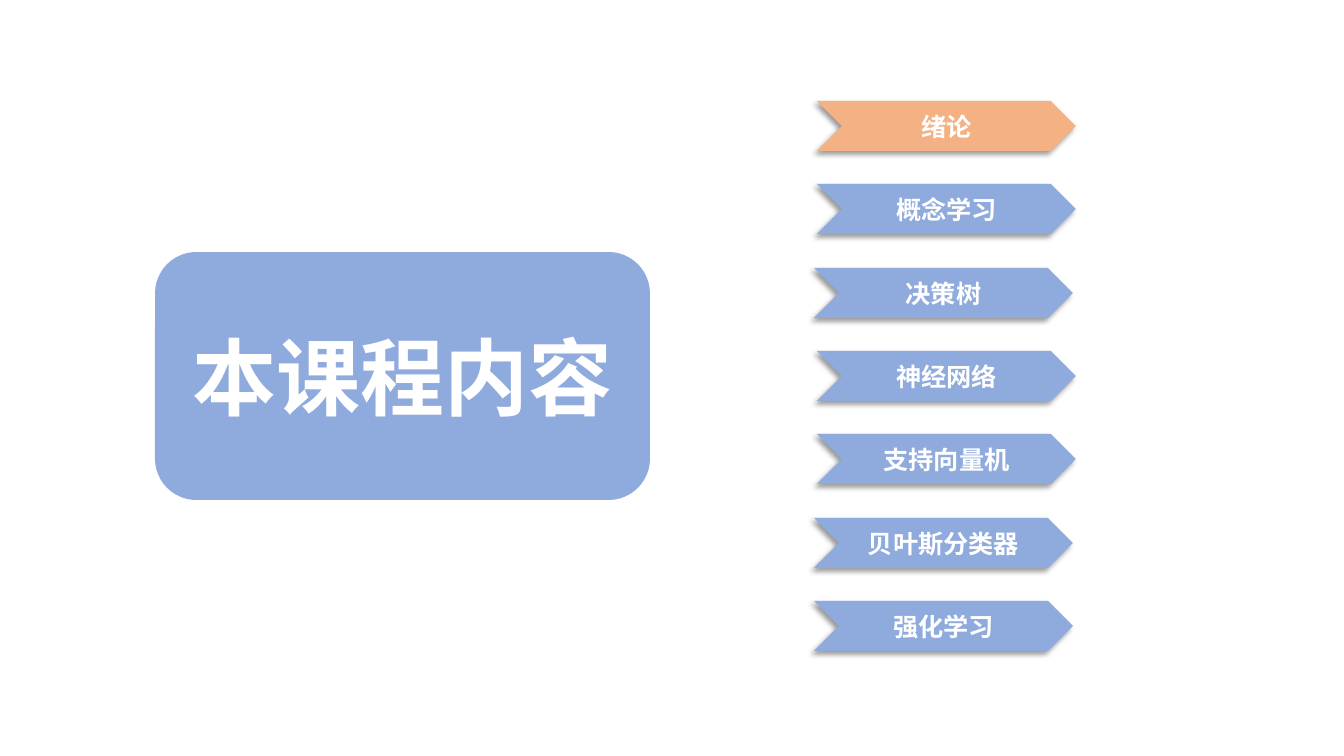
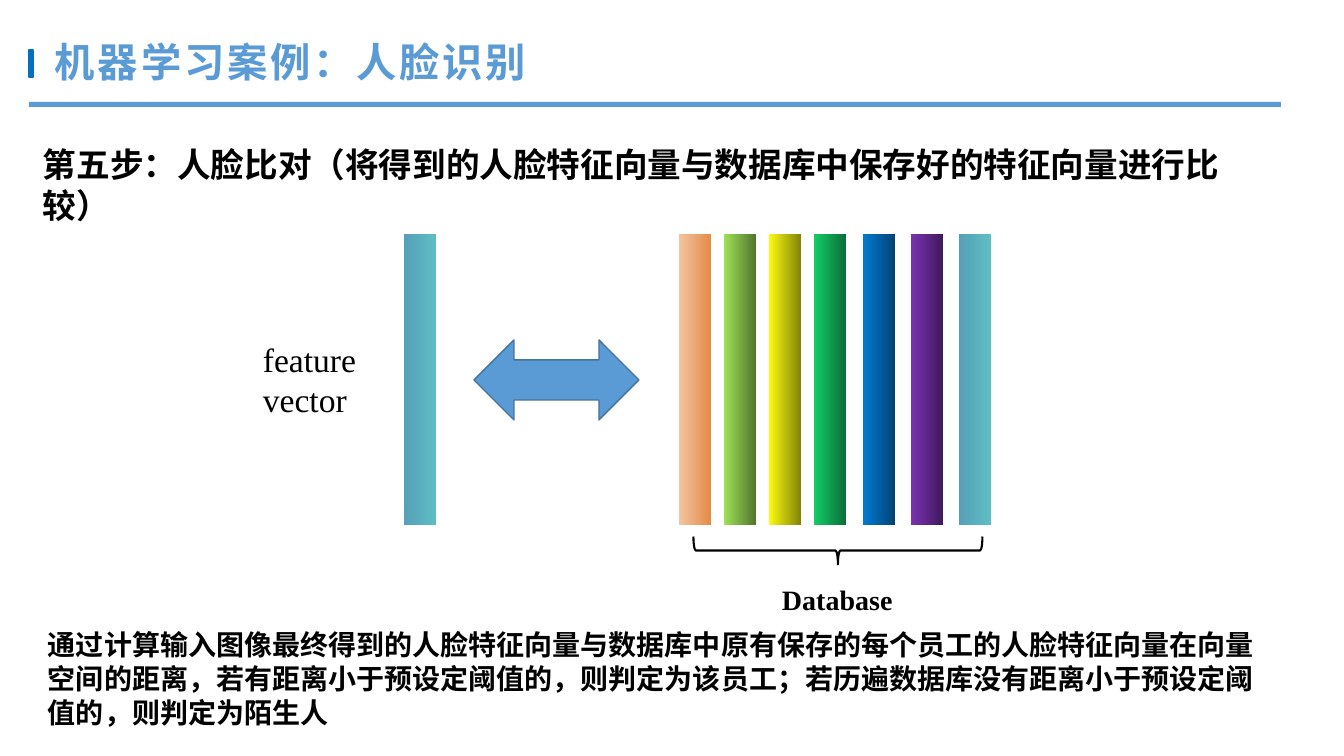
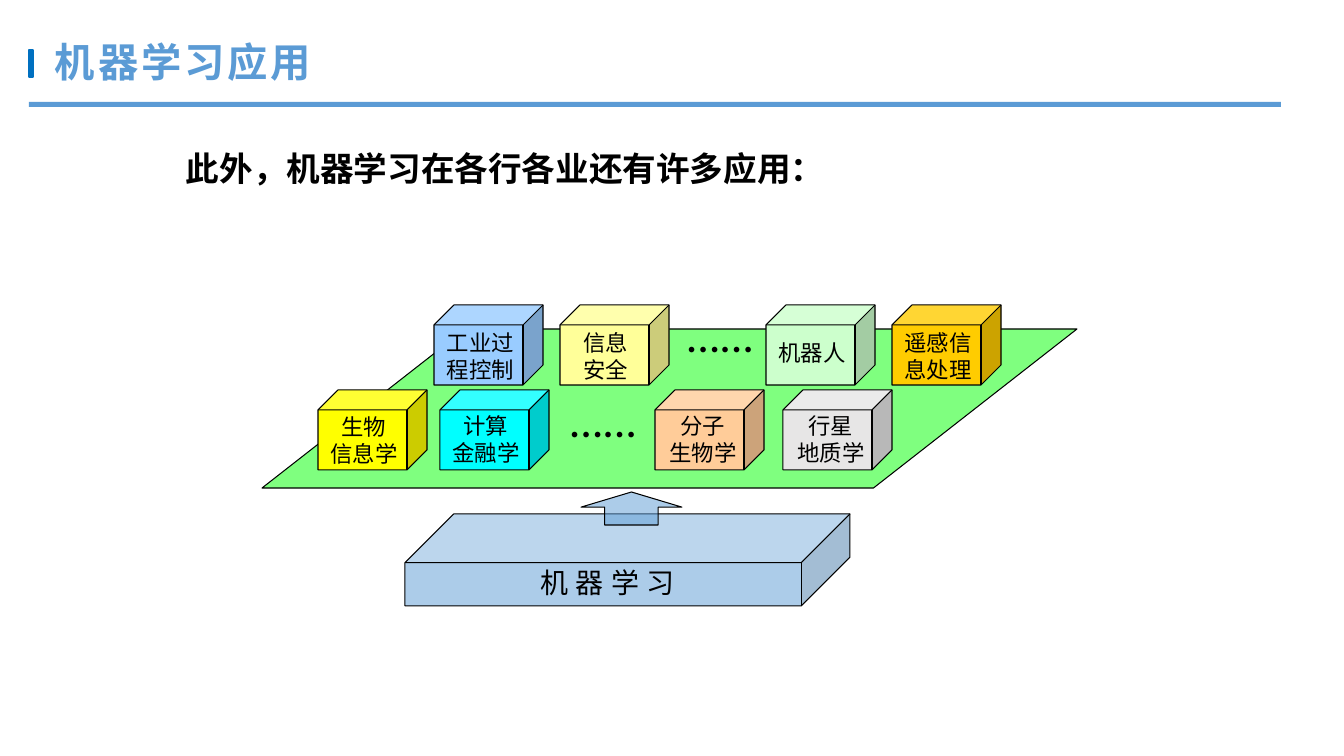
from lxml import etree
from pptx import Presentation
from pptx import util as u
from pptx.dml.color import RGBColor
from pptx.enum import lang, shapes, text
from pptx.oxml.ns import qn

EMU_PER_PX = 914400 / 100.8

WHITE = RGBColor(0xFF, 0xFF, 0xFF)
BLACK = RGBColor(0, 0, 0)
PERIWINKLE = RGBColor(0x8F, 0xAA, 0xDC)
ORANGE = RGBColor(0xF4, 0xB1, 0x83)
SKY = RGBColor(0x5B, 0x9B, 0xD5)
SKY_EDGE = RGBColor(0x43, 0x73, 0x9E)
MARKER = RGBColor(0x00, 0x70, 0xC0)
GREEN = RGBColor(0x00, 0xFF, 0x00)
QUERY_SHADES = (RGBColor(0x56, 0xA0, 0xB9), RGBColor(0x5D, 0xBD, 0xC3))
STORED_VECTORS = (
    (679, (RGBColor(0xF2, 0xC5, 0xA2), RGBColor(0xE4, 0x8B, 0x45))),
    (724, (RGBColor(0x9E, 0xE2, 0x56), RGBColor(0x52, 0x76, 0x2D))),
    (769, (RGBColor(0xFB, 0xFB, 0x11), RGBColor(0x83, 0x83, 0x09))),
    (814, (RGBColor(0x14, 0xCD, 0x68), RGBColor(0x0B, 0x6E, 0x38))),
    (863, (RGBColor(0x00, 0x7B, 0xD3), RGBColor(0x03, 0x43, 0x73))),
    (911, (RGBColor(0x7B, 0x32, 0xB2), RGBColor(0x40, 0x1A, 0x5D))),
    (959, QUERY_SHADES),
)

SANS = "Noto Sans CJK SC"
SERIF = "Times New Roman"
HEADING = "Calibri"
LABEL = "Lato"

CHAPTERS = (
    ("绪论", 817), ("概念学习", 817), ("决策树", 814), ("神经网络", 817),
    ("支持向量机", 817), ("贝叶斯分类器", 814), ("强化学习", 814),
)

FRONT_ROW = 390
BACK_ROW = 305
FIELDS = (
    (318, FRONT_ROW, RGBColor(0xFF, 0xFF, 0x00), ("生物", "信息学"), (305, 408, 118, 64)),
    (440, FRONT_ROW, RGBColor(0x00, 0xFF, 0xFF), ("计算", "金融学"), (427, 407, 118, 64)),
    (655, FRONT_ROW, RGBColor(0xFF, 0xCC, 0x99), ("分子", "生物学"), (644, 407, 118, 64)),
    (783, FRONT_ROW, RGBColor(0xE7, 0xE6, 0xE6), ("行星", "地质学"), (772, 407, 118, 64)),
    (434, BACK_ROW, RGBColor(0x99, 0xCC, 0xFF), ("工业过程控制",), (430, 324, 101, 64)),
    (560, BACK_ROW, RGBColor(0xFF, 0xFF, 0x99), ("信息安全",), (565, 324, 82, 64)),
    (766, BACK_ROW, RGBColor(0xCC, 0xFF, 0xCC), ("机器人",), (753, 334, 118, 37)),
    (892, BACK_ROW, RGBColor(0xFF, 0xCC, 0x00), ("遥感信", "息处理"), (879, 324, 118, 64)),
)


def px(length):
    return u.Emu(round(length * EMU_PER_PX))


def write(frame, lines, size, font, color=BLACK, bold=False, centered=False,
          spacing=None, tracking=None):
    frame.word_wrap = True
    for index, line in enumerate(lines):
        paragraph = frame.paragraphs[0] if index == 0 else frame.add_paragraph()
        paragraph.alignment = text.PP_ALIGN.CENTER if centered else text.PP_ALIGN.LEFT
        if spacing:
            paragraph.line_spacing = spacing
        run = paragraph.add_run()
        run.text = line
        run.font.size = u.Pt(size)
        run.font.bold = bold
        run.font.name = font
        run.font.color.rgb = color
        run.font.language_id = lang.MSO_LANGUAGE_ID.SIMPLIFIED_CHINESE
        properties = run.font._element
        etree.SubElement(properties, qn("a:ea")).set("typeface", font)
        if tracking:
            properties.set("spc", str(tracking * 100))


def add_text(slide, box, lines, size, font, **style):
    area = slide.shapes.add_textbox(*map(px, box))
    write(area.text_frame, lines, size, font, **style)
    return area


def add_preset(slide, preset, box, fill=None, line=None, width=0.75, adjust=(), alpha=None):
    shape = slide.shapes.add_shape(preset, *map(px, box))
    shape.shadow.inherit = False
    for index, value in enumerate(adjust):
        shape.adjustments[index] = value
    if fill is None:
        shape.fill.background()
    else:
        shape.fill.solid()
        shape.fill.fore_color.rgb = fill
    if alpha is not None:
        tint = shape.element.spPr.find(qn("a:solidFill")).find(qn("a:srgbClr"))
        etree.SubElement(tint, qn("a:alpha")).set("val", str(alpha * 1000))
    if line is None:
        shape.line.fill.background()
    else:
        shape.line.color.rgb = line
        shape.line.width = u.Pt(width)
    return shape


def add_shadow(shape):
    effects = shape.element.spPr.find(qn("a:effectLst"))
    shadow = etree.SubElement(
        effects, qn("a:outerShdw"), blurRad=str(u.Pt(4)), dist=str(u.Pt(3)),
        dir=str(135 * 60000), algn="tr", rotWithShape="0")
    tint = etree.SubElement(shadow, qn("a:srgbClr"), val=str(BLACK))
    etree.SubElement(tint, qn("a:alpha"), val="40000")


def add_chapter(slide, name, left, top, fill):
    chapter = add_preset(slide, shapes.MSO_SHAPE.CHEVRON, (left, top, 259, 50), fill)
    add_shadow(chapter)
    chapter.text_frame.vertical_anchor = text.MSO_ANCHOR.MIDDLE
    write(chapter.text_frame, [name], 18, HEADING, color=WHITE, bold=True, centered=True)


def add_vector(slide, left, shades):
    vector = add_preset(slide, shapes.MSO_SHAPE.RECTANGLE, (left, 234, 32, 291))
    vector.fill.gradient()
    vector.fill.gradient_angle = 0
    for stop, shade in zip(vector.fill.gradient_stops, shades):
        stop.color.rgb = shade


def add_titled_slide(deck, title, width):
    slide = add_slide(deck)
    heading = add_text(slide, (45, 31, width, 66), [title], 28.8, SANS, color=SKY,
                       bold=True, spacing=0.9, tracking=2)
    heading.text_frame.vertical_anchor = text.MSO_ANCHOR.MIDDLE
    add_preset(slide, shapes.MSO_SHAPE.RECTANGLE, (29, 50, 4, 27), MARKER, MARKER, 1)
    add_preset(slide, shapes.MSO_SHAPE.RECTANGLE, (29, 102, 1252, 5), SKY)
    return slide


def add_slide(deck):
    return deck.slides.add_slide(deck.slide_layouts[6])


def build_contents(deck):
    slide = add_slide(deck)
    course = add_preset(slide, shapes.MSO_SHAPE.FLOWCHART_ALTERNATE_PROCESS,
                        (155, 252, 495, 248), PERIWINKLE)
    course.text_frame.vertical_anchor = text.MSO_ANCHOR.MIDDLE
    write(course.text_frame, ["本课程内容"], 60, HEADING, color=WHITE, bold=True, centered=True)
    for index, (name, left) in enumerate(CHAPTERS):
        top = 101 + round(index * 250 / 3)
        add_chapter(slide, name, left, top, PERIWINKLE if index else ORANGE)


def build_face_matching(deck):
    slide = add_titled_slide(deck, "机器学习案例：人脸识别", 509)
    add_text(slide, (33, 138, 1248, 50),
             ["第五步：人脸比对（将得到的人脸特征向量与数据库中保存好的特征向量进行比较）"],
             24, SANS, bold=True, spacing=u.Pt(29.3))
    add_vector(slide, 404, QUERY_SHADES)
    add_text(slide, (253, 334, 123, 92), ["feature", "vector"], 24, SERIF)
    add_text(slide, (38, 622, 1239, 112),
             ["通过计算输入图像最终得到的人脸特征向量与数据库中原有保存的每个员工的人脸特征向量"
              "在向量空间的距离，若有距离小于预设定阈值的，则判定为该员工；若历遍数据库没有距离"
              "小于预设定阈值的，则判定为陌生人"],
             20, SANS, bold=True, spacing=u.Pt(24.4))
    add_preset(slide, shapes.MSO_SHAPE.LEFT_RIGHT_ARROW, (474, 340, 165, 80), SKY, SKY_EDGE, 1)
    for left, shades in STORED_VECTORS:
        add_vector(slide, left, shades)
    brace = add_preset(slide, shapes.MSO_SHAPE.LEFT_BRACE, (824, 406, 28, 289),
                       line=BLACK, width=1.5)
    brace.rotation = 270
    add_text(slide, (772, 578, 133, 44), ["Database"], 20, SERIF, bold=True)


def build_applications(deck):
    slide = add_titled_slide(deck, "机器学习应用", 283)
    add_preset(slide, shapes.MSO_SHAPE.PARALLELOGRAM, (262, 329, 815, 159), GREEN, BLACK,
               adjust=[1.28], alpha=50)
    for left, top, fill, lines, label_box in FIELDS:
        add_preset(slide, shapes.MSO_SHAPE.CUBE, (left, top, 109, 80), fill, BLACK,
                   adjust=[0.25])
        add_text(slide, label_box, lines, 16, LABEL, centered=True)
    for left, top in ((544, 388), (661, 303)):
        add_text(slide, (left, top, 118, 64), ["……"], 32, LABEL, centered=True)
    add_preset(slide, shapes.MSO_SHAPE.CUBE, (405, 514, 445, 92), SKY, BLACK,
               adjust=[0.53], alpha=50)
    add_preset(slide, shapes.MSO_SHAPE.UP_ARROW, (581, 492, 101, 33), SKY, BLACK,
               adjust=[0.53, 0.46], alpha=50)
    add_text(slide, (490, 561, 235, 43), ["机 器 学 习"], 20, LABEL, centered=True)
    add_text(slide, (176, 142, 691, 50), ["此外，机器学习在各行各业还有许多应用："],
             24, SANS, bold=True, spacing=u.Pt(29.3))


def main():
    deck = Presentation()
    deck.slide_width = px(1344)
    deck.slide_height = px(756)
    build_contents(deck)
    build_face_matching(deck)
    build_applications(deck)
    deck.save("out.pptx")


if __name__ == "__main__":
    main()
